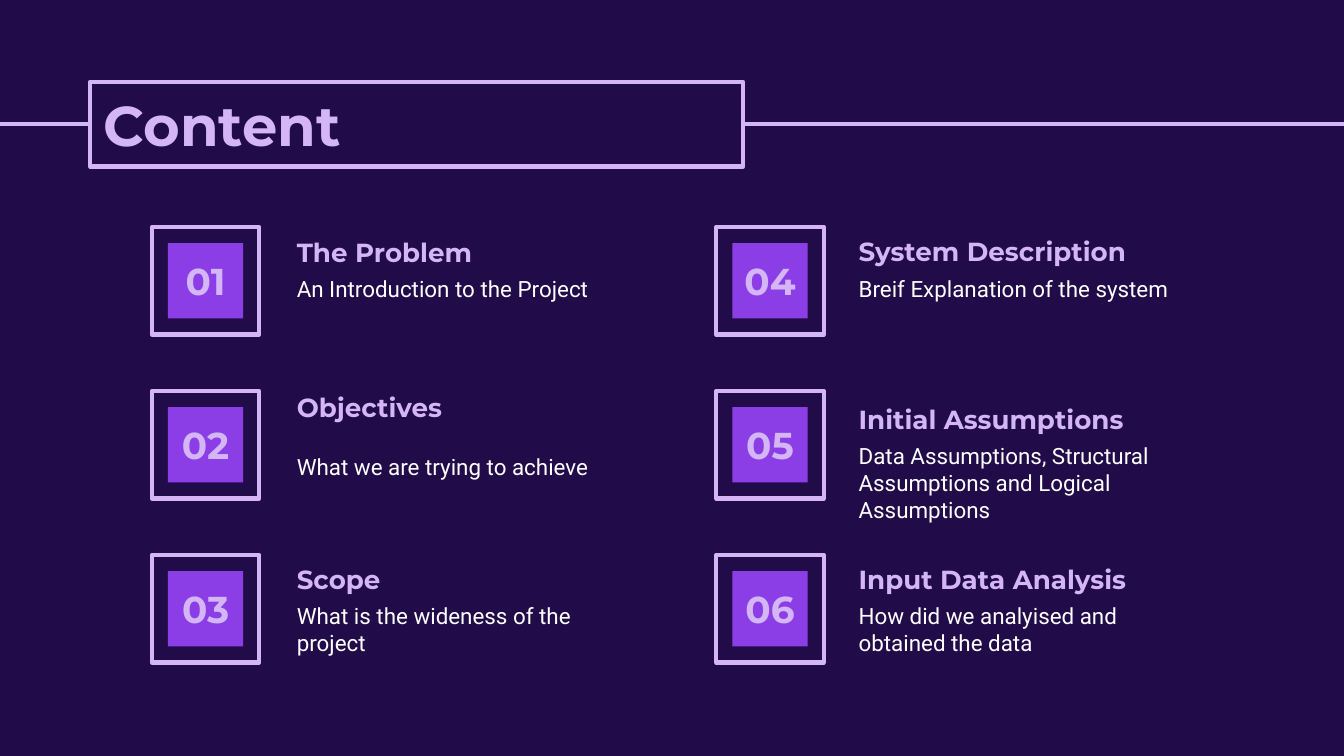
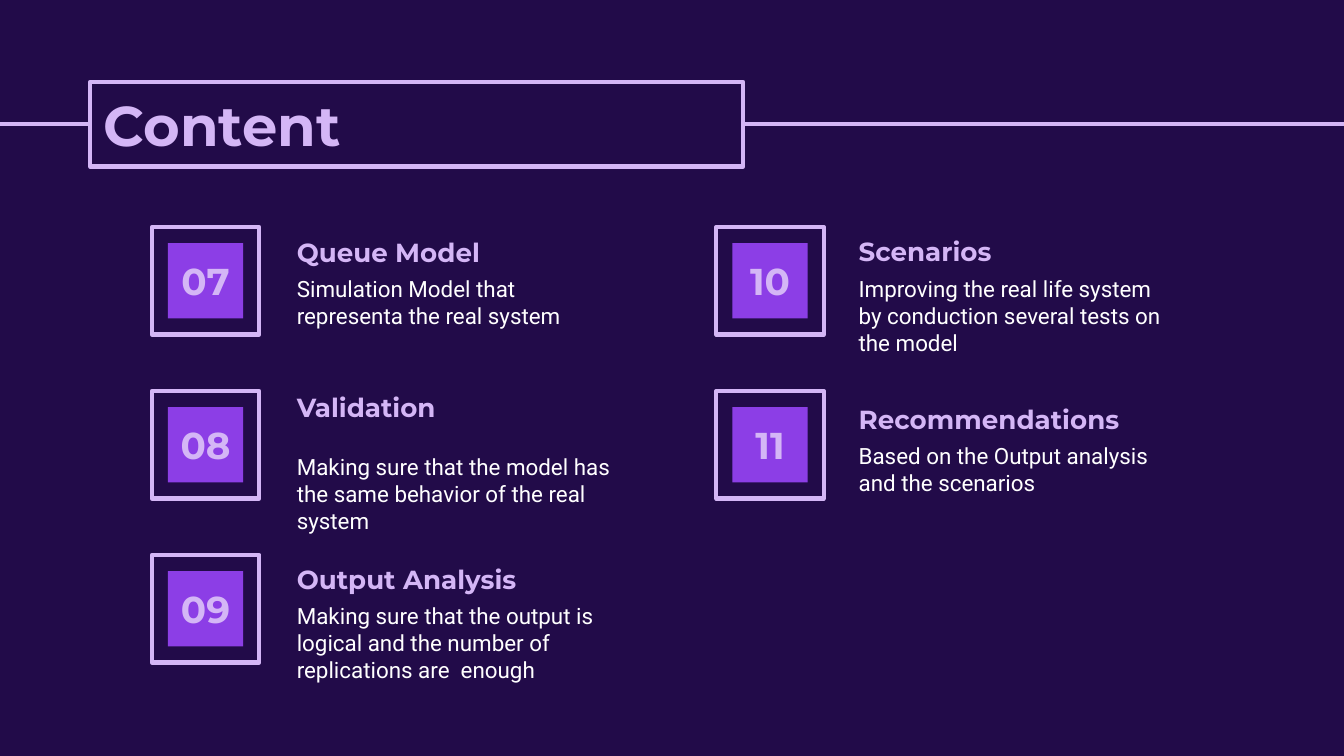
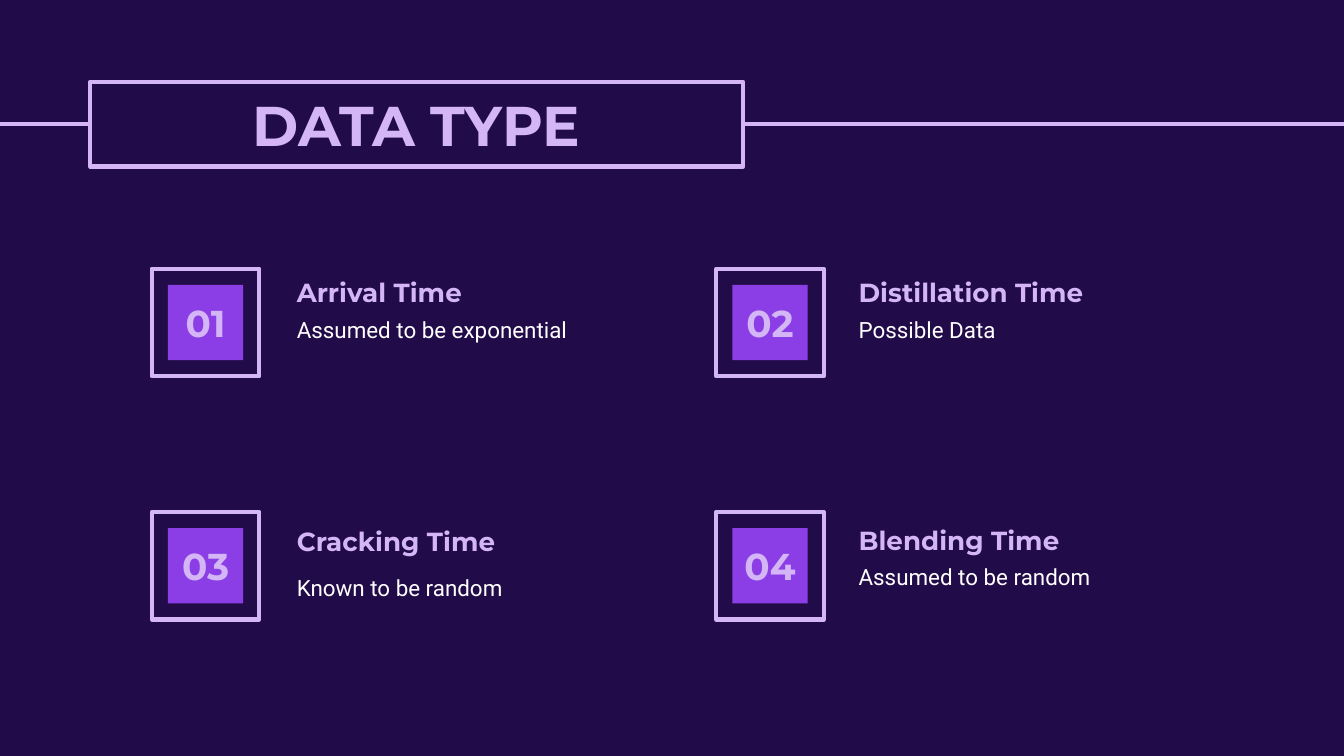
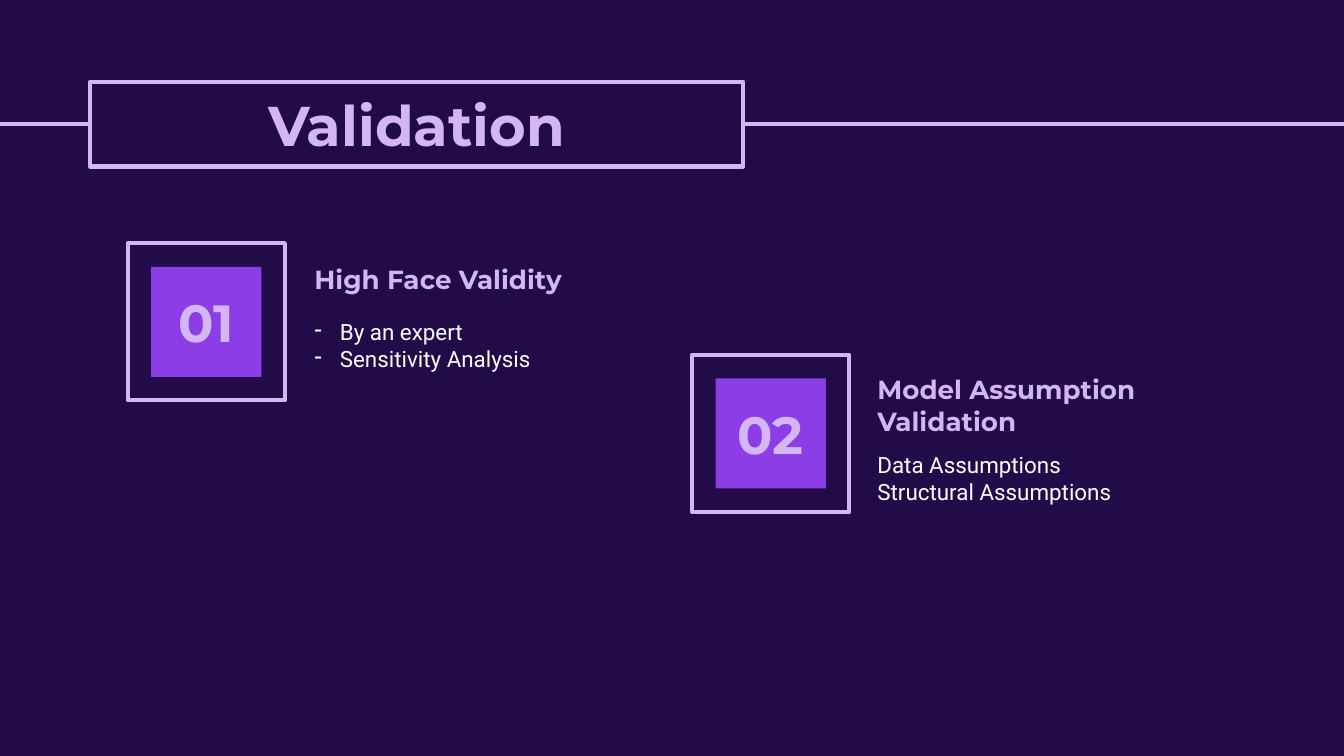
from dataclasses import dataclass

from lxml import etree
from pptx import Presentation
from pptx.dml.color import RGBColor
from pptx.enum.shapes import MSO_CONNECTOR, MSO_SHAPE
from pptx.enum.text import MSO_ANCHOR, MSO_AUTO_SIZE, PP_ALIGN
from pptx.oxml.ns import qn
from pptx.util import Inches, Pt

COLORS = {"night": "220B49", "lilac": "D4B6F6", "violet": "8C3EE6", "white": "FFFFFF"}
HEAD_FONT, BODY_FONT = "Montserrat", "Roboto"
SLIDE_W, SLIDE_H = 10, 5.625
LINE_PT = 2.25
MARGIN = 0.1
TEXT_W, HEADING_H, BODY_H = 2.58, 0.46, 0.59
NUMBER_W, NUMBER_H = 0.8, 0.38


@dataclass
class Grid:
    """Corners of the numbered badges and left edges of the texts beside them."""
    top: float
    row_pitch: float
    badge_left: float = 1.13
    text_left: float = 2.11
    badge_pitch: float = 4.2
    text_pitch: float = 4.18
    badge: float = 0.8
    square: float = 0.56
    number_pt: int = 20


@dataclass
class Card:
    """drop: heading below the badge's top; gap: from heading to body."""
    col: int
    row: int
    heading: str
    body: str
    drop: float = -0.04
    gap: float = 0.29
    bullets: bool = False


CONTENT_GRID = Grid(top=1.69, row_pitch=1.22)
DATA_GRID = Grid(top=2, row_pitch=1.81)
VALIDATION_GRID = Grid(top=1.81, row_pitch=0.83, badge_left=0.95, text_left=2.24,
                       text_pitch=4.19, badge=1.17, square=0.82, number_pt=28)

CONTENT_1 = [
    Card(0, 0, "The Problem", "An Introduction to the Project", drop=-0.03),
    Card(0, 1, "Objectives", "What we are trying to achieve", drop=-0.1, gap=0.46),
    Card(0, 2, "Scope", "What is the wideness of the project"),
    Card(1, 0, "System Description", "Breif Explanation of the system", gap=0.3),
    Card(1, 1, "Initial Assumptions",
         "Data Assumptions, Structural Assumptions and Logical Assumptions", drop=-0.01),
    Card(1, 2, "Input Data Analysis", "How did we analyised and obtained the data"),
]
CONTENT_2 = [
    Card(0, 0, "Queue Model", "Simulation Model that representa the real system",
         drop=-0.03),
    Card(0, 1, "Validation",
         "Making sure that the model has the same behavior of the real system",
         drop=-0.1, gap=0.46),
    Card(0, 2, "Output Analysis",
         "Making sure that the output is logical and the number of replications are  enough"),
    Card(1, 0, "Scenarios",
         "Improving the real life system by conduction several tests on the model", gap=0.3),
    Card(1, 1, "Recommendations", "Based on the Output analysis and the scenarios",
         drop=-0.01),
]
DATA_TYPES = [
    Card(0, 0, "Arrival Time", "Assumed to be exponential"),
    Card(1, 0, "Distillation Time", "Possible Data"),
    Card(0, 1, "Cracking Time", "Known to be random", drop=0, gap=0.36),
    Card(1, 1, "Blending Time", "Assumed to be random", drop=-0.01),
]
VALIDATIONS = [
    Card(0, 0, "High Face Validity", "By an expert\nSensitivity Analysis",
         drop=0.05, gap=0.41, bullets=True),
    Card(1, 1, "Model Assumption Validation", "Data Assumptions\nStructural Assumptions",
         drop=0.04, gap=0.58),
]


def rgb(name):
    return RGBColor.from_string(COLORS[name])


def set_outline(line):
    line.color.rgb = rgb("lilac")
    line.width = Pt(LINE_PT)


def write(sp, text, size, font=HEAD_FONT, color="lilac", align=PP_ALIGN.LEFT,
          anchor=MSO_ANCHOR.TOP):
    tf = sp.text_frame
    tf.text = text
    tf.word_wrap = True
    tf.auto_size = MSO_AUTO_SIZE.NONE
    tf.vertical_anchor = anchor
    tf.margin_left = tf.margin_right = tf.margin_top = tf.margin_bottom = Inches(MARGIN)
    for p in tf.paragraphs:
        p.alignment = align
        for r in p.runs:
            r.font.name = font
            r.font.size = Pt(size)
            r.font.bold = font == HEAD_FONT
            r.font.color.rgb = rgb(color)


def add_text(slide, left, top, width, height, text, size, **style):
    sp = slide.shapes.add_textbox(Inches(left), Inches(top), Inches(width), Inches(height))
    write(sp, text, size, **style)
    return sp


def add_dashes(tf):
    for p in tf.paragraphs:
        pPr = p._p.get_or_add_pPr()
        pPr.set("marL", str(Inches(0.19)))
        pPr.set("indent", str(-Inches(0.19)))
        color = etree.SubElement(pPr, qn("a:buClr"))
        etree.SubElement(color, qn("a:srgbClr")).set("val", COLORS["white"])
        etree.SubElement(pPr, qn("a:buChar")).set("char", "-")


def add_square(shapes, center_x, center_y, side):
    sp = shapes.add_shape(MSO_SHAPE.RECTANGLE, Inches(center_x - side / 2),
                          Inches(center_y - side / 2), Inches(side), Inches(side))
    sp.shadow.inherit = False
    return sp


def add_badge(slide, left, top, number, grid):
    x, y = left + grid.badge / 2, top + grid.badge / 2
    group = slide.shapes.add_group_shape()
    frame = add_square(group.shapes, x, y, grid.badge)
    frame.fill.background()
    set_outline(frame.line)
    square = add_square(group.shapes, x, y, grid.square)
    square.fill.solid()
    square.fill.fore_color.rgb = rgb("violet")
    square.line.fill.background()
    add_text(slide, x - NUMBER_W / 2, y - NUMBER_H / 2, NUMBER_W, NUMBER_H,
             f"{number:02d}", grid.number_pt, align=PP_ALIGN.CENTER,
             anchor=MSO_ANCHOR.MIDDLE)


def add_card(slide, card, number, grid):
    top = grid.top + card.row * grid.row_pitch
    add_badge(slide, grid.badge_left + card.col * grid.badge_pitch, top, number, grid)
    text_left = grid.text_left + card.col * grid.text_pitch
    heading_top = top + card.drop
    add_text(slide, text_left, heading_top, TEXT_W, HEADING_H, card.heading, 14)
    body = add_text(slide, text_left, heading_top + card.gap, TEXT_W, BODY_H, card.body,
                    12, font=BODY_FONT, color="white")
    if card.bullets:
        add_dashes(body.text_frame)


def add_title(slide, text, align):
    title = slide.shapes.title
    title.left, title.top = Inches(0.67), Inches(0.61)
    title.width, title.height = Inches(4.86), Inches(0.63)
    title.fill.solid()
    title.fill.fore_color.rgb = rgb("night")
    set_outline(title.line)
    write(title, text, 30, align=align, anchor=MSO_ANCHOR.MIDDLE)


def add_layout_line(slide):
    """Draw the line behind the titles and hand it to the shared layout."""
    line = slide.shapes.add_connector(MSO_CONNECTOR.STRAIGHT, Inches(-0.06), Inches(0.92),
                                      Inches(SLIDE_W), Inches(0.92))
    set_outline(line.line)
    etree.SubElement(line._element.spPr, qn("a:effectLst"))
    slide.slide_layout.shapes.element.append(line._element)


def add_cards_slide(prs, title, cards, grid, first=1, align=PP_ALIGN.CENTER):
    slide = prs.slides.add_slide(prs.slide_layouts.get_by_name("Title Only"))
    add_title(slide, title, align)
    for number, card in enumerate(cards, first):
        add_card(slide, card, number, grid)
    return slide


def main():
    prs = Presentation()
    prs.slide_width, prs.slide_height = Inches(SLIDE_W), Inches(SLIDE_H)
    background = prs.slide_master.background.fill
    background.solid()
    background.fore_color.rgb = rgb("night")

    opening = add_cards_slide(prs, "Content", CONTENT_1, CONTENT_GRID, align=PP_ALIGN.LEFT)
    add_layout_line(opening)
    add_cards_slide(prs, "Content", CONTENT_2, CONTENT_GRID,
                    first=len(CONTENT_1) + 1, align=PP_ALIGN.LEFT)
    add_cards_slide(prs, "DATA TYPE", DATA_TYPES, DATA_GRID)
    add_cards_slide(prs, "Validation", VALIDATIONS, VALIDATION_GRID)
    prs.save("out.pptx")


if __name__ == "__main__":
    main()
